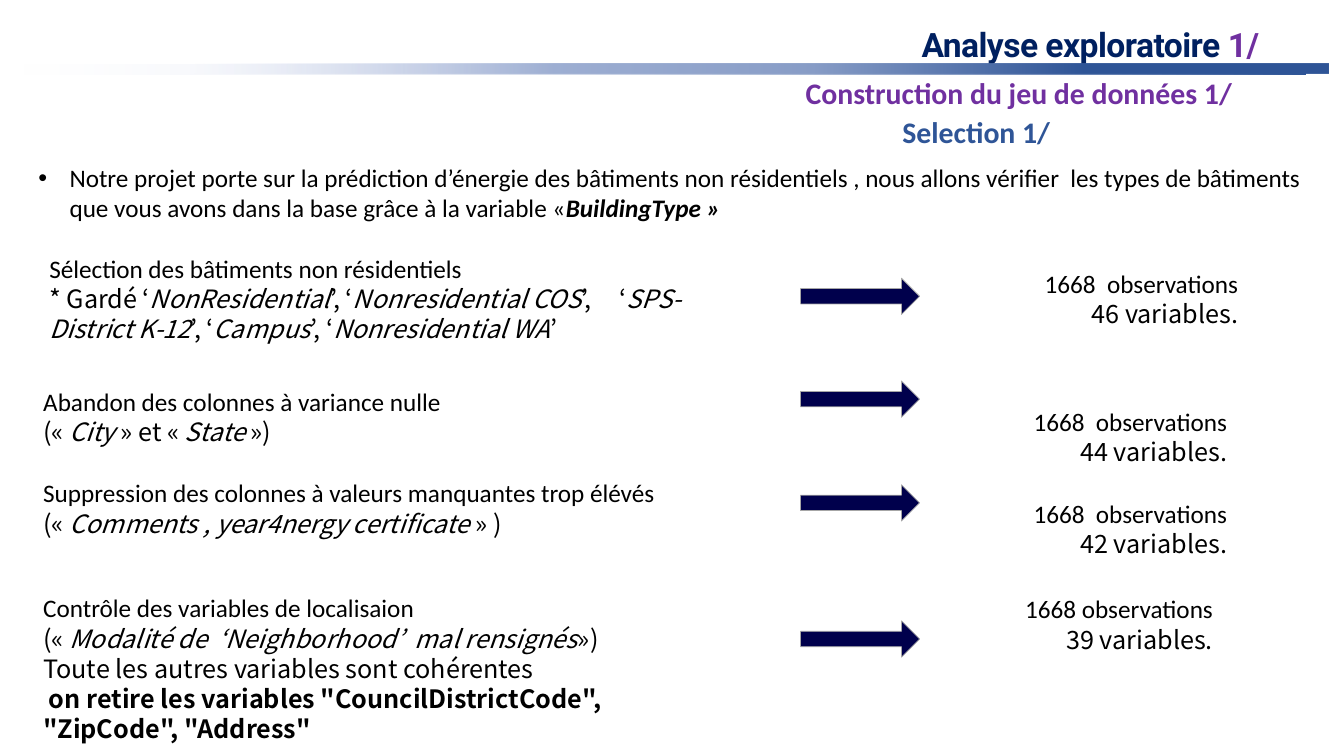
from lxml.etree import SubElement
from pptx import Presentation
from pptx.dml.color import RGBColor
from pptx.enum.shapes import MSO_SHAPE as SHAPE
from pptx.enum.text import MSO_ANCHOR as ANCHOR, MSO_AUTO_SIZE as AUTO, PP_ALIGN as ALIGN
from pptx.oxml.ns import qn
from pptx.util import Inches, Pt

NAVY = RGBColor(0x00, 0x20, 0x60)
PURPLE = RGBColor(0x70, 0x30, 0xA0)
BLUE = RGBColor(0x2F, 0x55, 0x97)
BLACK = RGBColor(0x00, 0x00, 0x00)
ARROW = RGBColor(0x00, 0x00, 0x4C)
GREY = RGBColor(0xA6, 0xA6, 0xA6)
SOFT = RGBColor(0x88, 0x9D, 0xC7)
PALE = RGBColor(0x9E, 0xAF, 0xD3)
MIST = RGBColor(0xE0, 0xE5, 0xF7)

CALIBRI, NOTO, ROBOTO = "Calibri", "Noto Sans CJK JP", "Roboto"

# Each step: text box, lines of (text, style) runs, arrow top, result box, result lines
STEPS = [
    ((0.39, 2.46, 6.71, 1.31),
     [[("Sélection des bâtiments non résidentiels", "")],
      [("* Gardé ‘", ""), ("NonResidential", "i"), ("’, ‘", ""),
       ("Nonresidential COS", "i"), ("’,\t‘", ""), ("SPS-District K-12", "i"),
       ("’, ‘", ""), ("Campus", "i"), ("’, ‘", ""), ("Nonresidential WA", "i"), ("’", "")]],
     2.76, (9.95, 2.61), ["1668  observations", "46 variables."]),
    ((0.33, 3.78, 6.45, 0.71),
     [[("Abandon des colonnes à variance nulle", "")],
      [("(« ", ""), ("City", "i"), (" » et « ", ""), ("State", "i"), (" »)", "")]],
     3.78, (9.84, 3.98), ["1668  observations", "44 variables."]),
    ((0.33, 4.69, 6.45, 0.71),
     [[("Suppression des colonnes à valeurs manquantes trop élévés", "")],
      [("(« ", ""), ("Comments , year4nergy certificate", "i"), (" » )", "")]],
     4.81, (9.84, 4.89), ["1668  observations", "42 variables."]),
    ((0.33, 5.83, 7.03, 1.62),
     [[("Contrôle des variables de localisaion", "")],
      [("(« ", ""), ("Modalité de  ‘Neighborhood’  mal rensignés", "i"), ("»)", "")],
      [("Toute les autres variables sont cohérentes", "")],
      [(" ", ""), ('on retire les variables "CouncilDistrictCode", "ZipCode", "Address"', "b")]],
     6.16, (9.7, 5.84), ["1668 observations", "39 variables."]),
]


def place(sp, box):
    sp.left, sp.top, sp.width, sp.height = (Inches(v) for v in box)


def set_frame(sp, margins=(0.1, 0.05)):
    tf = sp.text_frame
    tf.word_wrap = True
    tf.auto_size = AUTO.NONE
    tf.vertical_anchor = ANCHOR.TOP
    tf.margin_left = tf.margin_right = Inches(margins[0])
    tf.margin_top = tf.margin_bottom = Inches(margins[1])
    return tf


def add_run(p, text, size=18, font=CALIBRI, color=BLACK, style=""):
    r = p.add_run()
    r.text = text
    r.font.size, r.font.name = Pt(size), font
    r.font.color.rgb = color
    r.font.bold, r.font.italic = "b" in style, "i" in style
    return r


def add_text(slide, box, lines, align=ALIGN.LEFT):
    """First line in Calibri, the following ones in Noto."""
    tf = set_frame(slide.shapes.add_textbox(*(Inches(v) for v in box)))
    for i, runs in enumerate(lines):
        p = tf.paragraphs[0] if i == 0 else tf.add_paragraph()
        p.alignment = align
        for text, style in runs:
            add_run(p, text, font=NOTO if i else CALIBRI, style=style)
            if "\t" in text:
                tabs = SubElement(p._p.get_or_add_pPr(), qn("a:tabLst"))
                SubElement(tabs, qn("a:tab"), pos=str(Inches(5.66)), algn="l")


def add_heading(slide, box, text, color):
    tf = set_frame(slide.shapes.add_textbox(*(Inches(v) for v in box)), (0, 0))
    add_run(tf.paragraphs[0], text, 21.3, CALIBRI, color, "b")


def add_band(slide, box, stops):
    """Bar fading to transparent on its left."""
    sp = slide.shapes.add_shape(SHAPE.RECTANGLE, *(Inches(v) for v in box))
    sp.shadow.inherit = False
    sp.line.fill.background()
    sp.fill.gradient()
    sp.fill.gradient_angle = 180
    gs_list = sp._element.spPr.find(qn("a:gradFill")).find(qn("a:gsLst"))
    gs_list.clear()
    for pos, color in stops:
        gs = SubElement(gs_list, qn("a:gs"), pos=str(pos * 1000))
        clr = SubElement(gs, qn("a:srgbClr"), val=str(color))
        if color == MIST:
            SubElement(clr, qn("a:alpha"), val="0")


def build_header(slide):
    # Title
    title = slide.shapes.title
    place(title, (9.14, 0.28, 3.81, 0.36))
    p = set_frame(title, (0, 0)).paragraphs[0]
    p.alignment = ALIGN.LEFT
    p.line_spacing = Pt(26)
    for text, color in (("Analyse exploratoire ", NAVY), ("1/", PURPLE)):
        r = add_run(p, text, 24, ROBOTO, color, "b")
        r._r.get_or_add_rPr().set("spc", "-40")
    # Bands and subtitles
    add_band(slide, (0.16, 0.64, 12.79, 0.1), [(0, BLUE), (100, MIST)])
    add_band(slide, (0.39, 0.63, 12.79, 0.1), [(19, BLUE), (40, SOFT), (60, PALE), (88, MIST)])
    add_heading(slide, (7.99, 0.74, 4.81, 0.36), "Construction du jeu de données 1/", PURPLE)
    add_heading(slide, (8.95, 1.13, 3.32, 0.36), "Selection 1/", BLUE)


def build_intro(slide, box):
    body = slide.placeholders[1]
    place(body, box)
    p = set_frame(body).paragraphs[0]
    p.space_before = Pt(0)
    pPr = p._p.get_or_add_pPr()
    pPr.set("marL", str(Inches(0.31)))
    pPr.set("indent", str(-Inches(0.31)))
    SubElement(pPr, qn("a:buFont"), typeface="Arial")
    SubElement(pPr, qn("a:buChar"), char="•")
    add_run(p, "Notre projet porte sur la prédiction d’énergie des bâtiments non résidentiels , "
               "nous allons vérifier  les types de bâtiments que vous avons dans la base "
               "grâce à la variable «")
    add_run(p, "BuildingType »", style="bi")


def build_step(slide, box, lines, arrow_top, result_at, result):
    add_text(slide, box, lines)
    # Arrow
    sp = slide.shapes.add_shape(SHAPE.RIGHT_ARROW, Inches(7.94), Inches(arrow_top),
                                Inches(1.18), Inches(0.36))
    sp.adjustments[0], sp.adjustments[1] = 0.424, 0.5
    sp.shadow.inherit = False
    sp.fill.solid()
    sp.fill.fore_color.rgb = ARROW
    sp.line.color.rgb = GREY
    sp.line.width = Pt(0.5)
    # Remaining observations and variables
    add_text(slide, (*result_at, 2.43, 0.71), [[(line, "")] for line in result], ALIGN.RIGHT)


def main():
    prs = Presentation()
    prs.slide_width, prs.slide_height = Inches(13.33), Inches(7.5)
    slide = prs.slides.add_slide(prs.slide_layouts[1])
    build_header(slide)
    build_intro(slide, (0.28, 1.56, 13.02, 0.71))
    for step in STEPS:
        build_step(slide, *step)
    prs.save("out.pptx")


if __name__ == "__main__":
    main()
